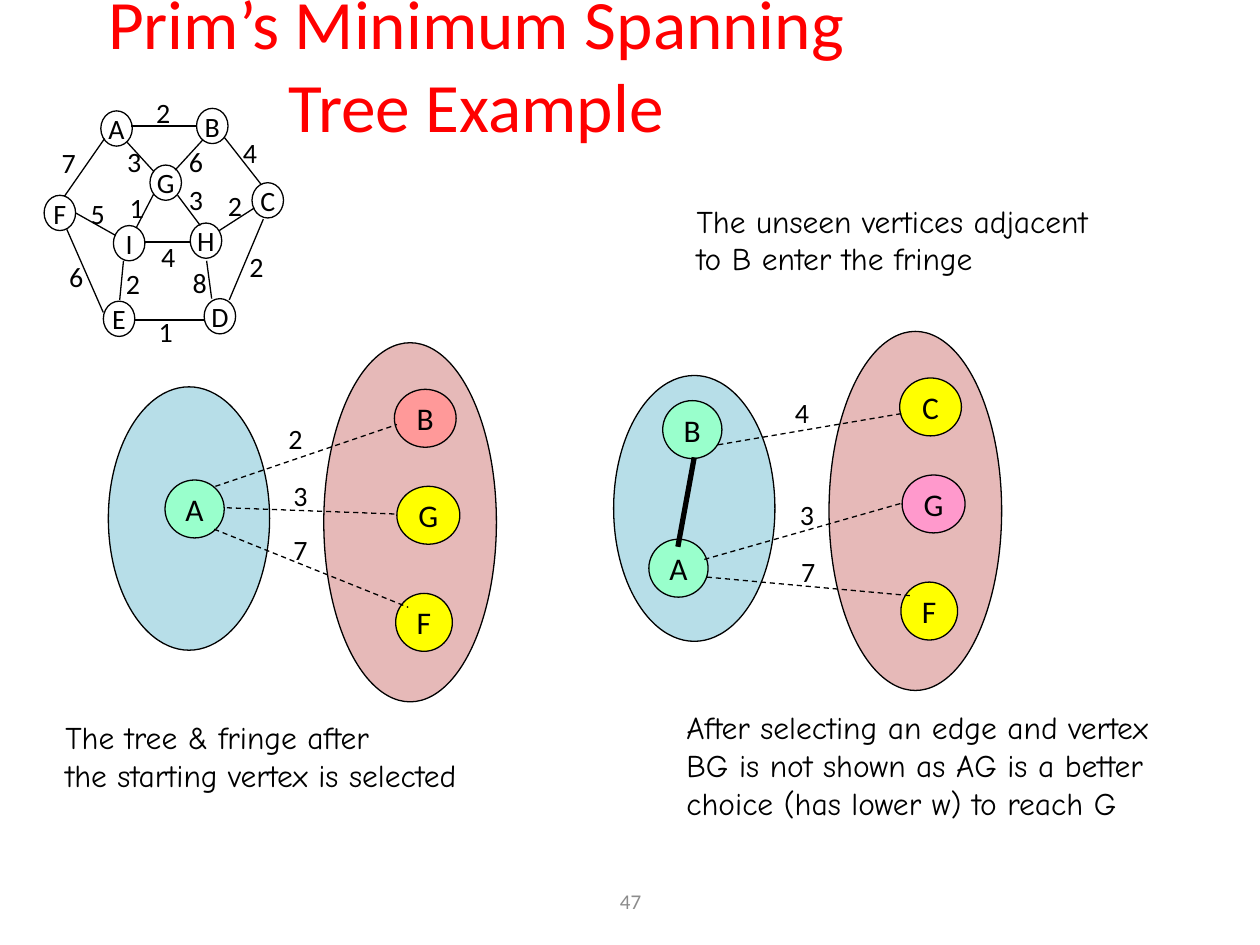
"""Build a slide that shows a step of Prim's minimum spanning tree algorithm."""
from dataclasses import dataclass
from typing import Optional, Union

from lxml.etree import SubElement
from pptx import Presentation
from pptx.dml.color import RGBColor
from pptx.enum.dml import MSO_LINE
from pptx.enum.shapes import MSO_CONNECTOR, MSO_SHAPE
from pptx.enum.text import MSO_ANCHOR as Anchor, PP_ALIGN as Align
from pptx.oxml.ns import qn
from pptx.shapes.shapetree import GroupShapes, SlideShapes
from pptx.text.text import TextFrame
from pptx.util import Inches, Pt

COLUMNS, ROWS = 100, 75
SLIDE_WIDTH, SLIDE_HEIGHT = Inches(10), Inches(7.5)

BLACK = RGBColor(0x00, 0x00, 0x00)
RED = RGBColor(0xFF, 0x00, 0x00)
GREY = RGBColor(0x8C, 0x8C, 0x8C)
TREE_BLUE = RGBColor(0xB7, 0xDE, 0xE8)
FRINGE_ROSE = RGBColor(0xE6, 0xB9, 0xB8)
MINT = RGBColor(0x99, 0xFF, 0xCC)
YELLOW = RGBColor(0xFF, 0xFF, 0x00)
SALMON = RGBColor(0xFF, 0x99, 0x99)
PINK = RGBColor(0xFF, 0x99, 0xCC)

Canvas = Union[SlideShapes, GroupShapes]


@dataclass(frozen=True)
class Oval:
    left: float
    top: float
    width: float
    height: float
    letter: str = ""
    fill: Optional[RGBColor] = None


@dataclass(frozen=True)
class Edge:
    start: tuple[float, float]
    end: tuple[float, float]
    weight: str = ""
    label_at: tuple[float, float] = (0, 0)


@dataclass(frozen=True)
class Panel:
    left: float
    top: float
    tree_height: float
    tree_nodes: tuple[Oval, ...]
    fringe: tuple[tuple[str, RGBColor], ...]
    edges: tuple[Edge, ...]


@dataclass(frozen=True)
class Caption:
    left: float
    top: float
    width: float
    height: float
    text: str


VERTICES = tuple(Oval(left, top, 2.5, 2.8, letter) for letter, left, top in (
    ("A", 8, 8.8), ("B", 15.6, 8.6), ("F", 3.5, 15.5), ("I", 9, 17.9), ("G", 11.9, 13.1),
    ("H", 15.1, 17.7), ("C", 20, 14.5), ("E", 8.2, 23.9), ("D", 16.2, 23.7)))

GRAPH_EDGES = (
    Edge((5.1, 15.6), (8.3, 11), "7", (3.9, 11.1)),
    Edge((10.4, 10), (15.6, 10), "2", (11.4, 7.1)),
    Edge((5.3, 18.2), (8.2, 24.8), "6", (4.5, 20.1)),
    Edge((17.8, 10.9), (20.7, 14.6), "4", (18.3, 10.3)),
    Edge((20.9, 17.4), (18.2, 23.8), "2", (18.8, 19.3)),
    Edge((10.6, 25.4), (16.3, 25.4), "1", (11.6, 24.5)),
    Edge((10.1, 11.3), (12.2, 13.6), "3", (9.1, 11)),
    Edge((16.1, 11.1), (13.9, 13.5), "6", (14, 11)),
    Edge((12.2, 15.4), (10.8, 18.1), "1", (9.3, 14.6)),
    Edge((14.1, 15.5), (15.9, 17.9), "3", (14, 14)),
    Edge((11.5, 19.2), (15.1, 19.2), "4", (11.8, 18.5)),
    Edge((6, 16.9), (9.2, 18.7), "5", (6.2, 15.1)),
    Edge((20.2, 16.5), (17.4, 18.3), "2", (17.1, 14.5)),
    Edge((9.8, 20.7), (9.5, 23.8), "2", (9, 20.7)),
    Edge((16.4, 20.7), (16.8, 23.7), "8", (14.3, 20.6)),
)

PANELS = (
    Panel(8.6, 30.7, 20.9,
          (Oval(13.1, 38.1, 4.7, 4.6, "A", MINT),),
          (("F", YELLOW), ("G", YELLOW), ("B", SALMON)),
          (Edge((17.1, 38.6), (31.5, 33.7), "2", (21.9, 33)),
           Edge((18, 40.3), (31.5, 40.8), "3", (22.3, 37.5)),
           Edge((17, 42), (32.4, 48.2), "7", (22.3, 41.8)))),
    Panel(48.7, 29.8, 21.1,
          (Oval(51.5, 42.8, 4.7, 4.6, "A", MINT), Oval(52.6, 31.8, 4.7, 4.6, "B", MINT)),
          (("F", YELLOW), ("G", PINK), ("C", YELLOW)),
          (Edge((57, 35.3), (71.7, 32.8), "4", (62.1, 30.9)),
           Edge((55.9, 44.4), (71.7, 39.9), "3", (62.5, 39)),
           Edge((56.1, 45.8), (72.5, 47.3), "7", (62.6, 43.5)))),
)
FRINGE_SLOTS = ((22.8, 16.4, 4.5), (22.9, 7.9, 5), (22.7, 0.2, 4.9))
SELECTED_EDGE = Edge((55.1, 36.3), (53.8, 43.4))

CAPTIONS = (
    Caption(4.2, 56.5, 38.4, 7.1, "The tree & fringe after\nthe starting vertex is selected"),
    Caption(53.5, 55.7, 43.4, 10.1, "After selecting an edge and vertex\n"
            "BG is not shown as AG is a better\nchoice (has lower w) to reach G"),
    Caption(54.3, 15.5, 37.4, 7.1, "The unseen vertices adjacent\nto B enter the fringe"),
)


def across(columns: float) -> int:
    """Turn grid columns into a length."""
    return round(SLIDE_WIDTH * columns / COLUMNS)


def down(rows: float) -> int:
    """Turn grid rows into a length."""
    return round(SLIDE_HEIGHT * rows / ROWS)


def write(frame: TextFrame, text: str, *, size: float = 16, font: str = "Calibri",
          color: RGBColor = BLACK, align: Align = Align.LEFT,
          anchor: Anchor = Anchor.TOP, wrap: bool = False) -> None:
    """Fill a text frame with one paragraph per line of text."""
    frame.word_wrap = wrap
    frame.vertical_anchor = anchor
    for index, line in enumerate(text.split("\n")):
        para = frame.add_paragraph() if index else frame.paragraphs[0]
        para.alignment = align
        span = para.add_run()
        span.text = line
        span.font.size = Pt(size)
        span.font.name = font
        span.font.color.rgb = color


def add_text(canvas: Canvas, left: float, top: float, width: float, height: float,
             text: str, **style) -> None:
    """Place a text box on the grid."""
    box = canvas.add_textbox(across(left), down(top), across(width), down(height))
    write(box.text_frame, text, **style)


def add_oval(canvas: Canvas, oval: Oval, size: float = 18) -> None:
    """Draw an outlined ellipse with an optional letter."""
    shape = canvas.add_shape(MSO_SHAPE.OVAL, across(oval.left), down(oval.top),
                             across(oval.width), down(oval.height))
    shape.shadow.inherit = False
    shape.line.color.rgb = BLACK
    shape.line.width = Pt(0.75)
    if oval.fill is None:
        shape.fill.background()
    else:
        shape.fill.solid()
        shape.fill.fore_color.rgb = oval.fill
    if oval.letter:
        write(shape.text_frame, oval.letter, size=size, align=Align.CENTER, anchor=Anchor.MIDDLE)


def add_edge(canvas: Canvas, edge: Edge, width: float = 0.75, dashed: bool = False) -> None:
    """Draw a straight edge and its weight."""
    (x1, y1), (x2, y2) = edge.start, edge.end
    link = canvas.add_connector(MSO_CONNECTOR.STRAIGHT, across(x1), down(y1), across(x2), down(y2))
    link.line.color.rgb = BLACK
    link.line.width = Pt(width)
    if dashed:
        link.line.dash_style = MSO_LINE.DASH
    SubElement(link.element.spPr, qn("a:effectLst"))
    if edge.weight:
        add_text(canvas, *edge.label_at, 3.1, 3.7, edge.weight)


def add_panel(canvas: Canvas, panel: Panel) -> None:
    """Draw the tree set, the fringe set and the edges between them."""
    add_oval(canvas, Oval(panel.left, panel.top, 12.8, panel.tree_height, fill=TREE_BLUE))
    add_oval(canvas, Oval(panel.left + 17.1, panel.top - 3.5, 13.7, 28.5, fill=FRINGE_ROSE))
    for node in panel.tree_nodes:
        add_oval(canvas, node)
    for (letter, fill), (dx, dy, width) in zip(panel.fringe, FRINGE_SLOTS):
        add_oval(canvas, Oval(panel.left + dx, panel.top + dy, width, 4.6, letter, fill))
    for edge in panel.edges:
        add_edge(canvas, edge, dashed=True)


def main() -> None:
    """Assemble and save the deck."""
    deck = Presentation()
    deck.slide_width, deck.slide_height = SLIDE_WIDTH, SLIDE_HEIGHT
    page = deck.slides.add_slide(deck.slide_layouts[6])
    centred = {"align": Align.CENTER, "anchor": Anchor.MIDDLE, "wrap": True}
    add_text(page.shapes, 34.2, 69.5, 31.7, 4, "47", size=12, color=GREY, **centred)
    add_text(page.shapes, 4.4, 3.8, 66.8, 2.5, "Prim’s Minimum Spanning Tree Example",
             size=39.6, color=RED, **centred)
    graph = page.shapes.add_group_shape().shapes
    for vertex in VERTICES:
        add_oval(graph, vertex, size=16)
    for edge in GRAPH_EDGES:
        add_edge(graph, edge)
    for panel in PANELS:
        add_panel(page.shapes, panel)
    add_edge(page.shapes, SELECTED_EDGE, width=3)
    for note in CAPTIONS:
        add_text(page.shapes, note.left, note.top, note.width, note.height, note.text,
                 size=18, font="Comic Neue")
    deck.save("out.pptx")


if __name__ == "__main__":
    main()
